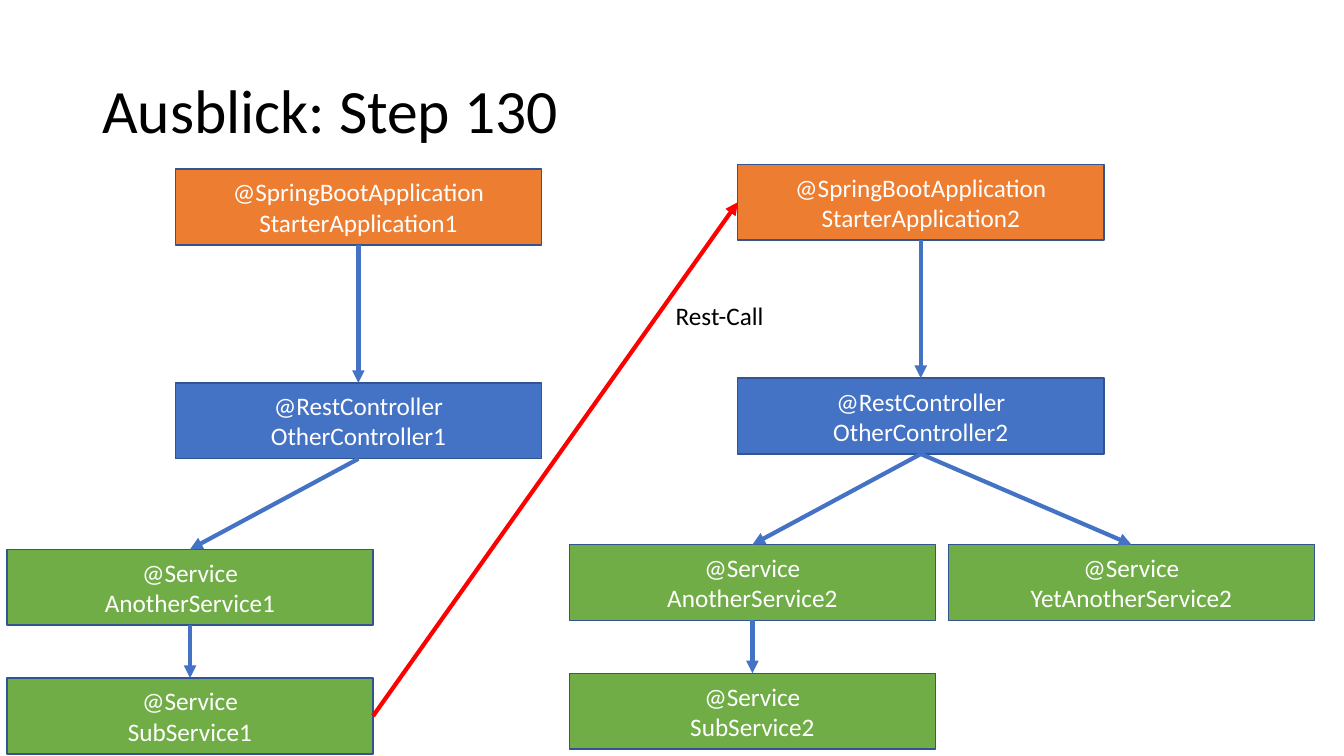
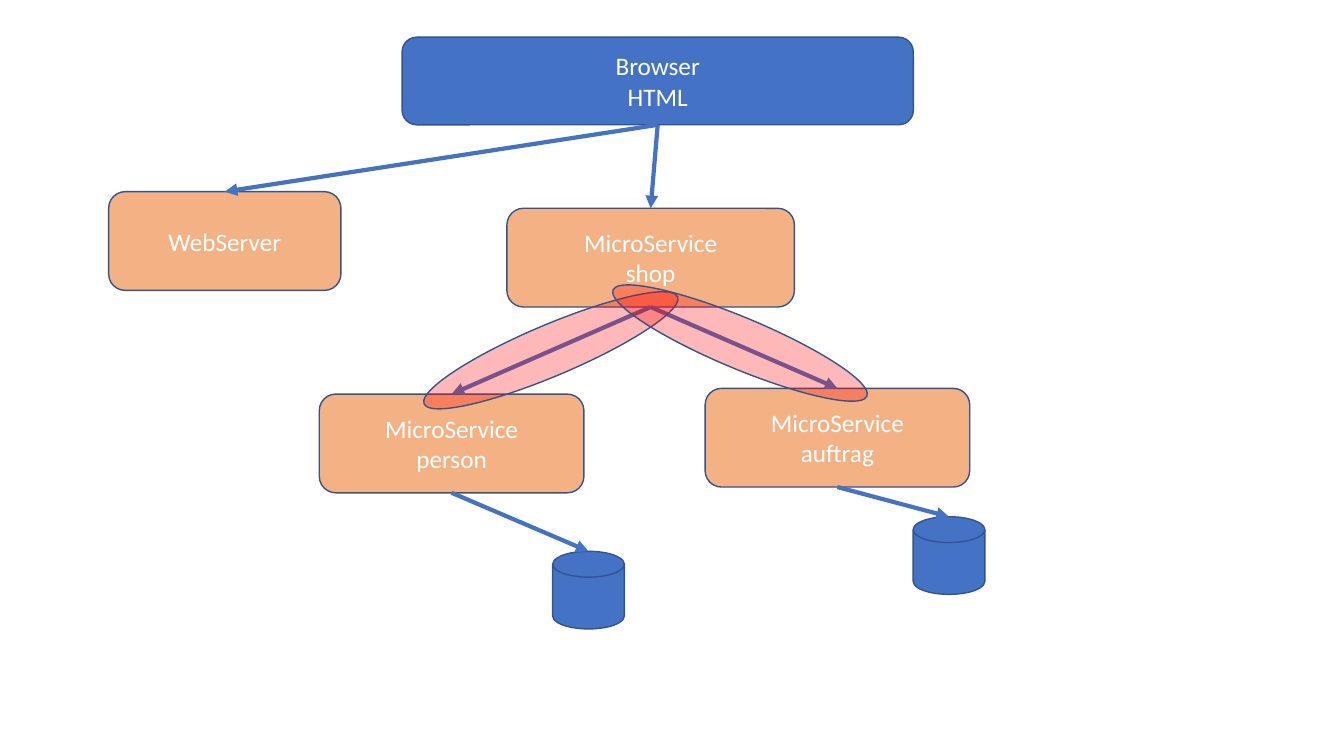
from dataclasses import dataclass

import pptx
import pptx.dml.color
import pptx.enum.shapes
import pptx.enum.text
import pptx.oxml
import pptx.oxml.ns
import pptx.util

Pt = pptx.util.Pt
Shape = pptx.enum.shapes.MSO_SHAPE
Anchor = pptx.enum.text.MSO_ANCHOR
Align = pptx.enum.text.PP_ALIGN
TOP, LEFT, BOTTOM, RIGHT = range(4)


@dataclass(frozen=True)
class Theme:
    font: str = "Calibri"
    title_size: int = 44
    body_size: int = 18
    text: str = "000000"
    inverse: str = "FFFFFF"
    blue: str = "4472C4"
    orange: str = "ED7D31"
    peach: str = "F4B183"
    green: str = "70AD47"
    red: str = "FF0000"
    outline: str = "325491"
    outline_width: float = 1
    arrow_width: float = 3
    highlight_alpha: int = 28


@dataclass(frozen=True)
class Box:
    left: float
    top: float
    width: float
    height: float

    def inner(self, left, top, width, height):
        return Box(self.left + left, self.top + top, width, height)

    def lengths(self):
        return [Pt(value) for value in (self.left, self.top, self.width, self.height)]


THEME = Theme()
PAGE = Box(0, 0, 960, 540)


def rgb(color):
    return pptx.dml.color.RGBColor.from_string(color)


def write(frame, text, size, color, align):
    paragraph = frame.paragraphs[0]
    paragraph.text = text
    paragraph.alignment = align
    paragraph.font.name = THEME.font
    paragraph.font.size = Pt(size)
    paragraph.font.color.rgb = rgb(color)
    return paragraph


def add_node(slide, box, fill, text="", kind=Shape.ROUNDED_RECTANGLE):
    shape = slide.shapes.add_shape(kind, *box.lengths())
    shape.shadow.inherit = False
    shape.fill.solid()
    shape.fill.fore_color.rgb = rgb(fill)
    shape.line.color.rgb = rgb(THEME.outline)
    shape.line.width = Pt(THEME.outline_width)
    if text:
        shape.text_frame.word_wrap = True
        shape.text_frame.vertical_anchor = Anchor.MIDDLE
        write(shape.text_frame, text, THEME.body_size, THEME.inverse, Align.CENTER)
    return shape


def add_arrow(slide, source, target, start=BOTTOM, end=TOP, color=THEME.blue):
    connector = slide.shapes.add_connector(
        pptx.enum.shapes.MSO_CONNECTOR.STRAIGHT, source.left, source.top,
        target.left + target.width // 2, target.top)
    connector.begin_connect(source, start)
    if target.auto_shape_type != Shape.FLOWCHART_MAGNETIC_DISK:
        connector.end_connect(target, end)
    connector.line.color.rgb = rgb(color)
    connector.line.width = Pt(THEME.arrow_width)
    line = connector.line._get_or_add_ln()
    pptx.oxml.ns.qn("a:tailEnd")
    line.append(pptx.oxml.parse_xml(
        f'<a:tailEnd {pptx.oxml.ns.nsdecls("a")} type="triangle"/>'))
    connector._element.spPr.append(pptx.oxml.parse_xml(
        f'<a:effectLst {pptx.oxml.ns.nsdecls("a")}/>'))


def add_highlight(slide, box, rotation):
    ellipse = add_node(slide, box, THEME.red, kind=Shape.OVAL)
    ellipse.rotation = rotation
    color = ellipse._element.spPr.find(".//" + pptx.oxml.ns.qn("a:srgbClr"))
    color.append(pptx.oxml.parse_xml(
        f'<a:alpha {pptx.oxml.ns.nsdecls("a")} val="{THEME.highlight_alpha * 1000}"/>'))


def add_title(slide, box, text):
    title = slide.shapes.add_textbox(*box.lengths())
    title.text_frame.word_wrap = True
    title.text_frame.vertical_anchor = Anchor.MIDDLE
    paragraph = write(title.text_frame, text, THEME.title_size, THEME.text, Align.LEFT)
    paragraph.line_spacing = 0.9


def add_label(slide, box, text):
    label = slide.shapes.add_textbox(*box.lengths())
    label.text_frame.word_wrap = False
    label.text_frame.auto_size = pptx.enum.text.MSO_AUTO_SIZE.SHAPE_TO_FIT_TEXT
    write(label.text_frame, text, THEME.body_size, THEME.text, Align.LEFT)


def add_application(slide, box, number, services):
    width, height = 261.5, 54.2
    center = 120.3
    service_step = 270.7

    def node(left, top, fill, annotation, name):
        return add_node(slide, box.inner(left, top, width, height), fill,
                        f"@{annotation}\n{name}{number}", Shape.RECTANGLE)

    starter = node(center, 0, THEME.orange, "SpringBootApplication", "StarterApplication")
    controller = node(center, 152.7, THEME.blue, "RestController", "OtherController")
    service_nodes = [node(index * service_step, 271.6, THEME.green, "Service", name)
                     for index, name in enumerate(services)]
    sub_service = node(0, 363.5, THEME.green, "Service", "SubService")
    add_arrow(slide, starter, controller)
    for service in service_nodes:
        add_arrow(slide, controller, service)
    add_arrow(slide, service_nodes[0], sub_service)
    return starter, sub_service


def add_outlook_slide(slide, box):
    add_title(slide, box.inner(66, 28.75, 828, 104.4), "Ausblick: Step 130")
    starter, _ = add_application(slide, box.inner(406.7, 117.4, 533, 418), 2,
                                 ["AnotherService", "YetAnotherService"])
    _, caller = add_application(slide, box.inner(5, 120.8, 382, 418), 1,
                                ["AnotherService"])
    add_arrow(slide, caller, starter, RIGHT, LEFT, THEME.red)
    add_label(slide, box.inner(475.6, 211.3, 77.8, 29), "Rest-Call")


def add_architecture_slide(slide, box):
    server_height = 70.5

    def server(left, top, width, text):
        return add_node(slide, box.inner(left, top, width, server_height),
                        THEME.peach, text)

    def database(left, top):
        return add_node(slide, box.inner(left, top, 51.2, 55.5), THEME.blue,
                        kind=Shape.FLOWCHART_MAGNETIC_DISK)

    browser = add_node(slide, box.inner(287.2, 26.6, 365.2, 62.6), THEME.blue,
                       "Browser\nHTML")
    web_server = server(77.6, 136.9, 165.9, "WebServer")
    shop = server(362.1, 148.8, 205.3, "MicroService\nshop")
    person = server(228.1, 281.5, 189, "MicroService\nperson")
    order = server(503.7, 277.4, 189, "MicroService\nauftrag")
    person_database = database(394.8, 393.8)
    order_database = database(652.3, 369.1)
    for source, target in ((browser, web_server), (browser, shop),
                           (shop, person), (shop, order),
                           (person, person_database), (order, order_database)):
        add_arrow(slide, source, target)
    for left, top, rotation in ((295.2, 231.9, 337.1), (430.3, 226.7, 22.7)):
        add_highlight(slide, box.inner(left, top, 196.6, 36.7), rotation)


presentation = pptx.Presentation()
presentation.slide_width = Pt(PAGE.width)
presentation.slide_height = Pt(PAGE.height)
blank_layout = presentation.slide_layouts[6]
for build in (add_outlook_slide, add_architecture_slide):
    build(presentation.slides.add_slide(blank_layout), PAGE)
presentation.save("out.pptx")
